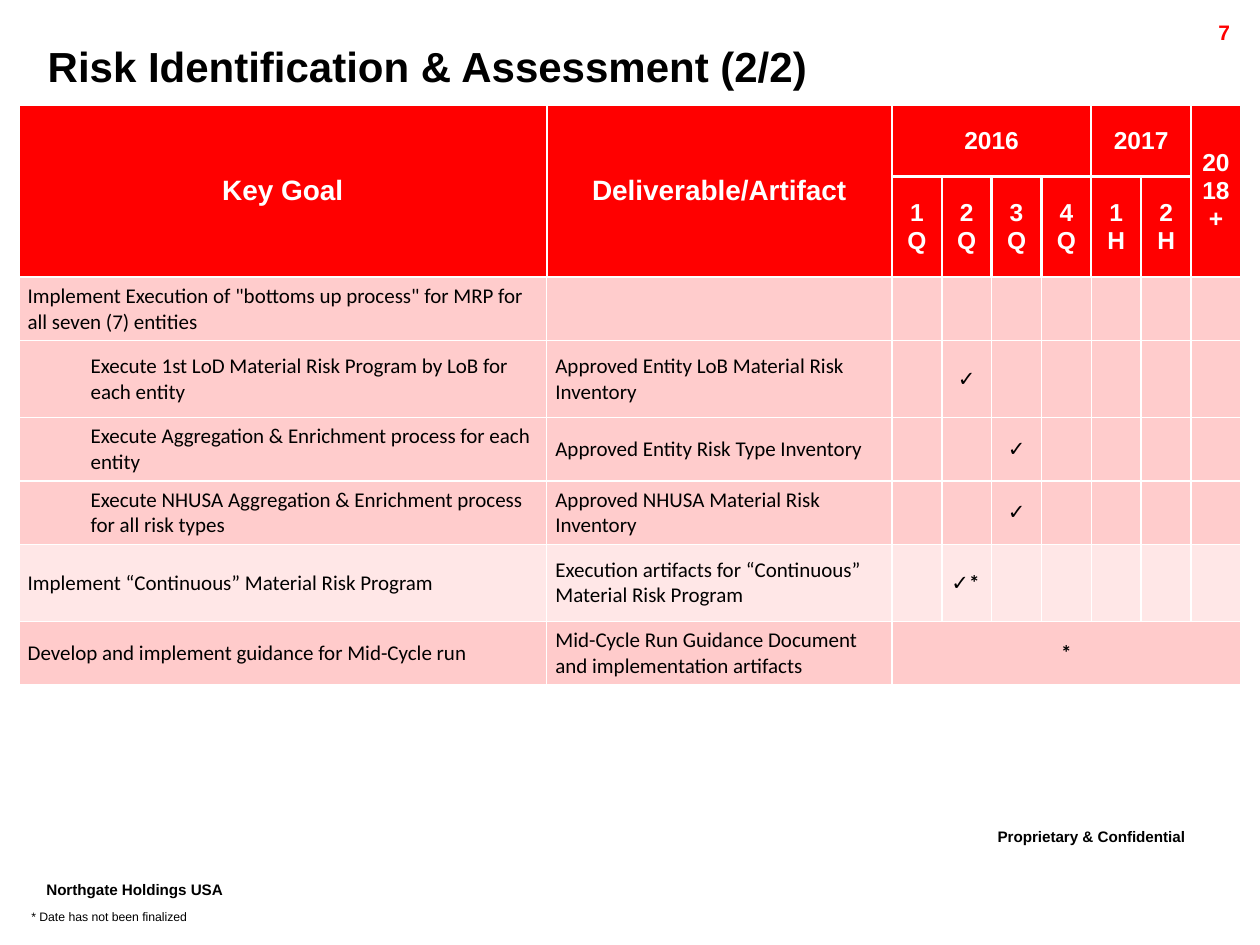
"""Build the risk identification and assessment slide with its goal table."""
import pptx
import pptx.dml.color
import pptx.enum.text
import pptx.oxml.ns
import pptx.util
import lxml.etree

Pt = pptx.util.Pt
Align = pptx.enum.text.PP_ALIGN
Anchor = pptx.enum.text.MSO_ANCHOR


def color(code):
    return pptx.dml.color.RGBColor.from_string(code)


def write(frame, text, face, size, ink, bold, align=Align.LEFT):
    para = frame.paragraphs[0]
    para.alignment = align
    run = para.add_run()
    run.text = text
    style = {"name": face, "size": Pt(size), "bold": bold}
    for key, value in style.items():
        setattr(run.font, key, value)
    run.font.color.rgb = color(ink)
    return run


deck = pptx.Presentation()
deck.slide_width, deck.slide_height = Pt(720), Pt(540)
slide = deck.slides.add_slide(deck.slide_layouts[6])

labels = [
    ("Proprietary & Confidential", 563, 467.3, 157, 25.2, 15, "000000", True, Align.LEFT, 30000),
    ("Northgate Holdings USA", 19.4, 497.5, 137.5, 25.2, 15, "000000", True, Align.LEFT, 30000),
    ("7", 641.5, 7.9, 68.4, 17.3, 12, "FF0000", True, Align.RIGHT, 0),
    ("Risk Identification & Assessment (2/2)", 20.2, 19.4, 593.3, 65.5, 24, "000000", True, Align.LEFT, 0),
    ("* Date has not been finalized", 10.8, 516.2, 106, 15.8, 7, "000000", False, Align.LEFT, 0),
]
for text, left, top, width, height, size, ink, bold, align, lift in labels:
    box = slide.shapes.add_textbox(Pt(left), Pt(top), Pt(width), Pt(height))
    box.text_frame.word_wrap = True
    run = write(box.text_frame, text, "Arial", size, ink, bold, align)
    if lift:
        run.font._element.set("baseline", str(lift))

widths = [301.6, 197.3] + [28.5] * 7
heights = [41, 57.4, 36.2, 44, 36.2, 36.2, 44.2, 36.2]
fills = ["FF0000"] * 2 + ["FFCCCC"] * 4 + ["FFE7E7", "FFCBCB"]
check = "\u2713"
texts = [
    {0: "Key Goal", 1: "Deliverable/Artifact", 2: "2016", 6: "2017", 8: "2018+"},
    {2: "1Q", 3: "2Q", 4: "3Q", 5: "4Q", 6: "1H", 7: "2H"},
    {0: 'Implement Execution of "bottoms up process" for MRP for all seven (7) entities'},
    {0: "Execute 1st LoD Material Risk Program by LoB for each entity",
     1: "Approved Entity LoB Material Risk Inventory", 3: check},
    {0: "Execute Aggregation & Enrichment process for each entity",
     1: "Approved Entity Risk Type Inventory", 4: check},
    {0: "Execute NHUSA Aggregation & Enrichment process for all risk types",
     1: "Approved NHUSA Material Risk Inventory", 4: check},
    {0: "Implement \u201cContinuous\u201d Material Risk Program",
     1: "Execution artifacts for \u201cContinuous\u201d Material Risk Program", 3: check + "*"},
    {0: "Develop and implement guidance for Mid-Cycle run",
     1: "Mid-Cycle Run Guidance Document and implementation artifacts", 2: "*"},
]
frame = slide.shapes.add_table(len(heights), len(widths), Pt(10.8), Pt(59.8),
                               Pt(sum(widths)), Pt(sum(heights)))
table = frame.table
for col, width in enumerate(widths):
    table.columns[col].width = Pt(width)
for row, height in enumerate(heights):
    table.rows[row].height = Pt(height)
    head = row < 2
    for col in range(len(widths)):
        cell = table.cell(row, col)
        side = 5 if col < 2 else 5.5
        form = {"margin_left": Pt(side), "margin_right": Pt(side),
                "margin_top": Pt(3.6), "margin_bottom": Pt(3.6),
                "vertical_anchor": Anchor.MIDDLE}
        for key, value in form.items():
            setattr(cell, key, value)
        props = cell._tc.get_or_add_tcPr()
        for edge in ("lnL", "lnR", "lnT", "lnB"):
            line = lxml.etree.SubElement(props, pptx.oxml.ns.qn("a:" + edge),
                                         w=str(Pt(1.5 if head else 1)))
            solid = lxml.etree.SubElement(line, pptx.oxml.ns.qn("a:solidFill"))
            lxml.etree.SubElement(solid, pptx.oxml.ns.qn("a:srgbClr"), val="FFFFFF")
        cell.fill.solid()
        cell.fill.fore_color.rgb = color(fills[row])
        text = texts[row].get(col)
        if not text:
            continue
        if head:
            write(cell.text_frame, text, "Arial", 16 if col < 2 else 14,
                  "FFFFFF", True, Align.CENTER)
        else:
            mid = col > 1 and text != check + "*"
            write(cell.text_frame, text, "Calibri", 12, "000000", col > 1,
                  Align.CENTER if mid else Align.LEFT)
        if col == 0 and 3 <= row <= 5:
            para = cell.text_frame.paragraphs[0]
            para.level = 1
            para._p.get_or_add_pPr().set("marL", str(Pt(36)))
            para._p.get_or_add_pPr().set("indent", "0")

spans = [(0, 0, 1, 0), (0, 1, 1, 1), (0, 2, 0, 5), (0, 6, 0, 7), (0, 8, 1, 8), (7, 2, 7, 8)]
for top, left, end, right in spans:
    table.cell(top, left).merge(table.cell(end, right))

deck.save("out.pptx")
